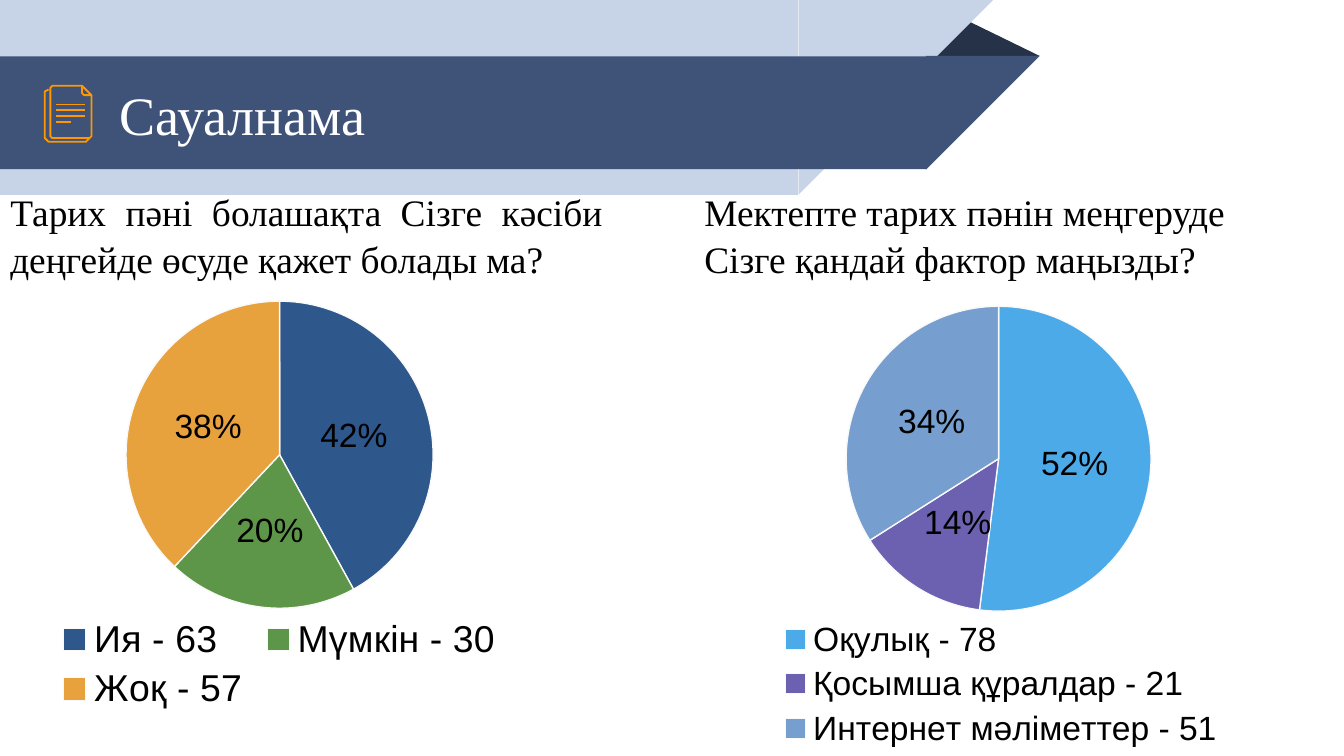
from lxml import etree
from pptx import Presentation
from pptx import util as u
from pptx.chart import data
from pptx.dml import color
from pptx.enum import chart as ec
from pptx.enum import shapes, text
from pptx.oxml import ns

Pt = u.Pt
INK = {
    "pale": "C7D3E6", "band": "3F5378", "fold": "263248", "icon": "FF9800",
    "text": "000000", "head": "FFFFFF", "edge": "F9F9F9",
    "navy": "2E578C", "green": "5D9648", "gold": "E7A13D",
    "sky": "4CAAE8", "plum": "6C61B0", "mist": "769ECE",
}
SERIF, SANS = "Times New Roman", "Arial"


def rgb(name):
    return color.RGBColor.from_string(INK[name])


def place(shape, box):
    shape.left, shape.top, shape.width, shape.height = map(Pt, box)


def paint(shape, fill):
    shape.shadow.inherit = False
    shape.fill.solid()
    shape.fill.fore_color.rgb = rgb(fill)
    shape.line.fill.background()


def path(slide, pts, closed=True):
    form = slide.shapes.build_freeform(*pts[0], scale=float(Pt(1)))
    form.add_line_segments(pts[1:], close=closed)
    return form.convert_to_shape()


def outline(slide, pts, closed=False):
    shape = path(slide, pts, closed)
    shape.shadow.inherit = False
    shape.fill.background()
    shape.line.color.rgb = rgb("icon")
    shape.line.width = Pt(0.96)


def stroke(slide, left, right, y):
    line = slide.shapes.add_connector(
        shapes.MSO_CONNECTOR.STRAIGHT, Pt(right), Pt(y), Pt(left), Pt(y))
    line.line.color.rgb = rgb("icon")
    line.line.width = Pt(0.96)
    etree.SubElement(line.element.spPr, ns.qn("a:effectLst"))


def band(slide, top, wide, high, fill):
    rect = slide.shapes.add_shape(
        shapes.MSO_SHAPE.RECTANGLE, 0, Pt(top), Pt(wide), Pt(high))
    paint(rect, fill)
    tip = [(wide, top), (wide + high, top), (wide, top + high)]
    paint(path(slide, tip), fill)


def icon(slide):
    outline(slide, [(47.5, 74.2), (46.1, 75.6), (25.9, 75.6),
                    (24.5, 74.2), (24.5, 49), (25.9, 47.5)])
    outline(slide, [(49, 51.1), (49, 72.7), (48, 74), (27.6, 74),
                    (26.6, 73), (26.6, 47.1), (27.6, 46.1), (43.9, 46.1)])
    for row, right in enumerate((45.4, 45.4, 45.4, 38.2)):
        stroke(slide, 30.2, right, 56 + 3.15 * row)
    outline(slide, [(43.9, 46.1), (49, 51.1), (45, 51.1), (43.9, 50.2)], True)


def write(shape, box, words, size, ink, align, anchor):
    place(shape, box)
    frame = shape.text_frame
    frame.text = words
    frame.word_wrap = True
    frame.auto_size = text.MSO_AUTO_SIZE.NONE
    frame.vertical_anchor = anchor
    frame.margin_left = frame.margin_right = 0
    frame.margin_top = frame.margin_bottom = 0
    para = frame.paragraphs[0]
    para.alignment = align
    font = para.runs[0].font
    font.size, font.name, font.color.rgb = Pt(size), SERIF, rgb(ink)
    return para


def ask(shape, left, words, align):
    para = write(shape, (left, 100, 317.5, 60.5), words, 20, "text",
                 align, text.MSO_ANCHOR.TOP)
    para.line_spacing, para.space_before = 1.05, Pt(1.5)
    props = para.runs[0].font._element.getparent().getparent().get_or_add_pPr()
    props.set("marL", "0")
    props.set("indent", "0")
    etree.SubElement(props, ns.qn("a:buNone"))


def layout(chart, plot):
    area = chart.element.find(".//" + ns.qn("c:plotArea"))
    for old in area.findall(ns.qn("c:layout")):
        area.remove(old)
    node = etree.Element(ns.qn("c:layout"))
    area.insert(0, node)
    man = etree.SubElement(node, ns.qn("c:manualLayout"))
    vals = zip(("layoutTarget", "xMode", "yMode", "x", "y", "w", "h"),
               ("inner", "edge", "edge", *plot))
    for tag, val in vals:
        etree.SubElement(man, ns.qn("c:" + tag)).set("val", str(val))


def style(font, size):
    font.size, font.name, font.color.rgb = Pt(size), SANS, rgb("text")


def pie(slide, box, plot, size, rows):
    info = data.CategoryChartData()
    info.categories = [row[0] for row in rows]
    info.add_series("вопрос", [row[1] for row in rows])
    chart = slide.shapes.add_chart(
        ec.XL_CHART_TYPE.PIE, *map(Pt, box), info).chart
    style(chart.font, 10)
    chart.has_title = False
    chart.has_legend = True
    chart.legend.position = ec.XL_LEGEND_POSITION.BOTTOM
    chart.legend.include_in_layout = True
    style(chart.legend.font, size)
    disc = chart.plots[0]
    disc.vary_by_categories = True
    for num, row in enumerate(rows):
        part = disc.series[0].points[num].format
        part.fill.solid()
        part.fill.fore_color.rgb = rgb(row[2])
        part.line.color.rgb = rgb("edge")
        part.line.width = Pt(0.75)
    disc.has_data_labels = True
    tags = disc.data_labels
    tags.show_value, tags.show_percentage = False, True
    tags.number_format, tags.number_format_is_linked = "#,##0%", False
    tags.position = ec.XL_LABEL_POSITION.CENTER
    style(tags.font, 18)
    layout(chart, plot)


def main():
    """Build the survey slide with two questions and their pie charts."""
    deck = Presentation()
    deck.slide_width, deck.slide_height = Pt(720), Pt(405)
    slide = deck.slides.add_slide(deck.slide_layouts[1])
    head, body = slide.placeholders
    paint(path(slide, [(495.4, 30.2), (515.5, 10.1), (556.6, 30.2)]), "fold")
    band(slide, 0, 427.7, 104.4, "pale")
    band(slide, 30.2, 496.1, 60.5, "band")
    icon(slide)
    for item in (head, body):
        slide.shapes.element.append(item.element)
    left, mid = text.PP_ALIGN.LEFT, text.MSO_ANCHOR.MIDDLE
    write(head, (64.1, 31, 414, 60.5), "Сауалнама", 29, "head", left, mid)
    ask(body, 5.5, "Тарих пәні болашақта Сізге кәсіби деңгейде өсуде "
        "қажет болады ма?", text.PP_ALIGN.JUSTIFY)
    ask(slide.shapes.add_textbox(0, 0, 0, 0), 377.3,
        "Мектепте тарих пәнін меңгеруде Сізге қандай фактор маңызды?", left)
    pie(slide, (6.5, 159.1, 286.6, 225.4), (0.21, 0.01, 0.58, 0.73), 20,
        [("Ия - 63", 42, "navy"), ("Мүмкін - 30", 20, "green"),
         ("Жоқ - 57", 38, "gold")])
    pie(slide, (393.1, 160.6, 286.6, 243.4), (0.21, 0.01, 0.57, 0.68), 18,
        [("Оқулық - 78", 52, "sky"), ("Қосымша құралдар - 21", 14, "plum"),
         ("Интернет мәліметтер - 51", 34, "mist")])
    deck.save("out.pptx")


if __name__ == "__main__":
    main()
